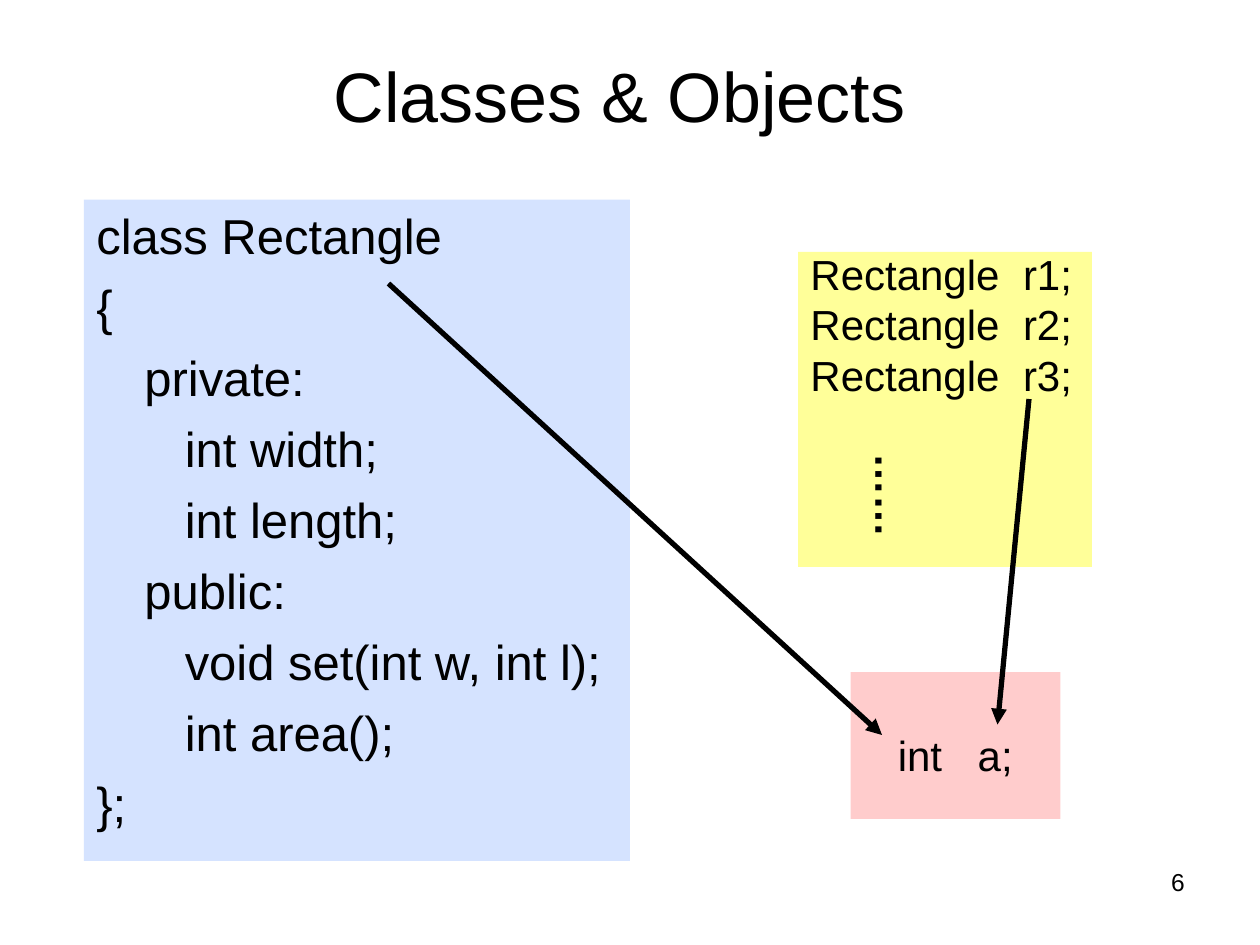
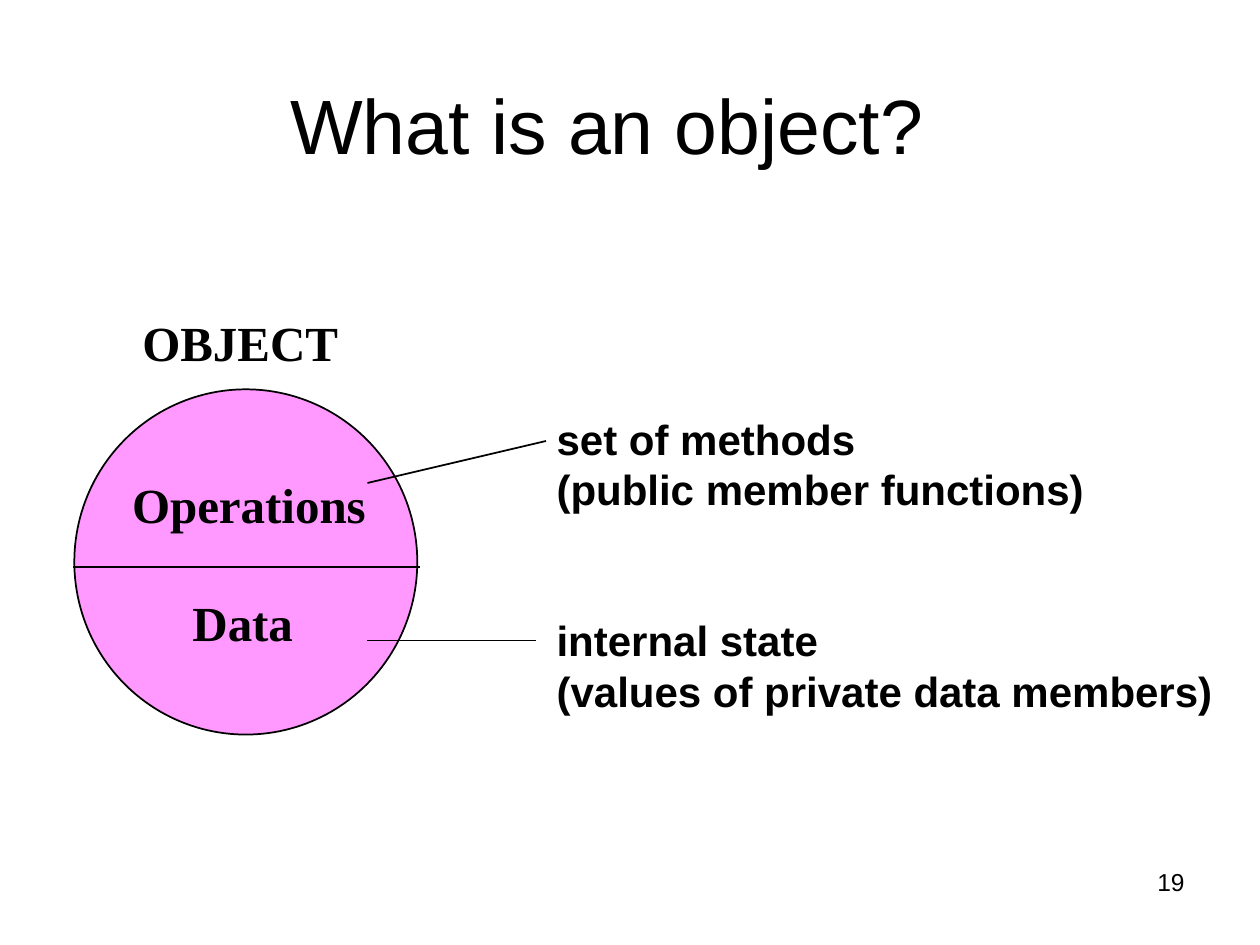
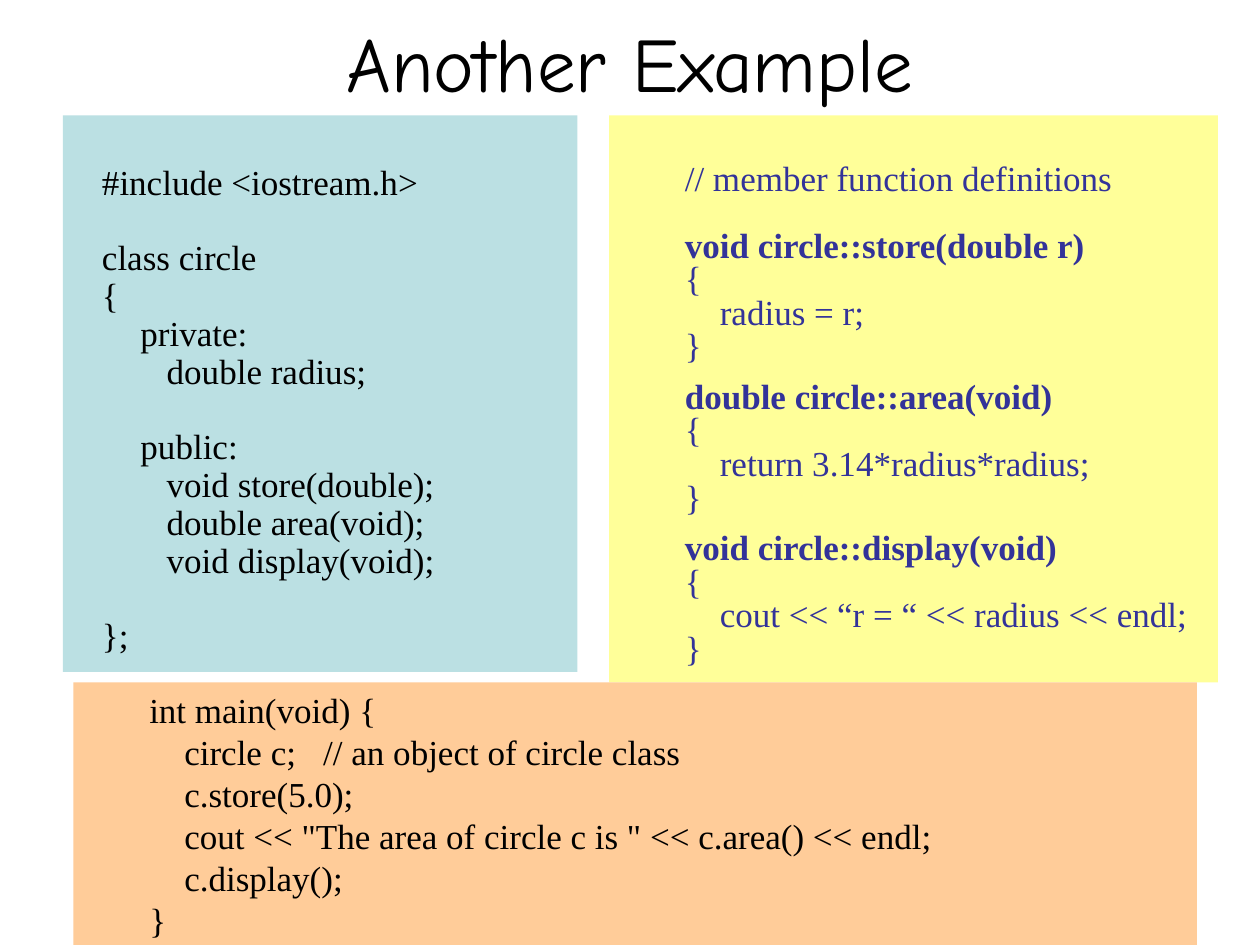
from lxml import etree
from pptx import Presentation
from pptx.dml.color import RGBColor
from pptx.enum.shapes import MSO_CONNECTOR as CONN, MSO_SHAPE as SHAPE
from pptx.enum.text import MSO_ANCHOR as ANCHOR, PP_ALIGN as ALIGN
from pptx.oxml.ns import qn
from pptx.util import Pt

BLACK = RGBColor(0x00, 0x00, 0x00)
NAVY = RGBColor(0x33, 0x33, 0x99)
BLUE = RGBColor(0xD5, 0xE3, 0xFF)
TEAL = RGBColor(0xBB, 0xE0, 0xE3)
YELLOW = RGBColor(0xFF, 0xFF, 0x99)
ROSE = RGBColor(0xFF, 0xCC, 0xCC)
PINK = RGBColor(0xFF, 0x99, 0xFF)
ORANGE = RGBColor(0xFF, 0xCC, 0x99)

SANS = "Arial"
SERIF = "Times New Roman"
COMIC = "Comic Neue"
LEADING = 1.2  # line height of single spacing, in font sizes


def set_tabs(p, stops):
    """Give the paragraph left tab stops, in points from the text edge."""
    tab_list = etree.SubElement(p._p.get_or_add_pPr(), qn("a:tabLst"))
    for stop in stops:
        etree.SubElement(tab_list, qn("a:tab"), pos=str(Pt(stop)), algn="l")


def write_line(p, text, size=24, font=SANS, color=BLACK, bold=False,
               align=ALIGN.LEFT, spacing=1, before=0, tabs=()):
    p.alignment = align
    p.line_spacing = Pt(round(size * LEADING * spacing, 2))
    p.space_before = Pt(before)
    if tabs:
        set_tabs(p, tabs)
    r = p.add_run()
    r.text = text
    r.font.size = Pt(size)
    r.font.name = font
    r.font.bold = bold
    r.font.color.rgb = color


def write(sp, lines, inset=(7.2, 3.6), anchor=ANCHOR.TOP, gap=0, **style):
    """Fill a shape with lines; a line is a text or (text, its own style)."""
    tf = sp.text_frame
    tf.word_wrap = True
    tf.vertical_anchor = anchor
    tf.margin_left, tf.margin_top = (Pt(v) for v in inset)
    tf.margin_right, tf.margin_bottom = Pt(7.2), Pt(3.6)
    for i, line in enumerate(lines):
        text, own = (line, {}) if isinstance(line, str) else line
        p = tf.add_paragraph() if i else tf.paragraphs[0]
        write_line(p, text, **{"before": gap if i else 0, **style, **own})


def add_text(s, box, lines, **style):
    sp = s.shapes.add_textbox(*map(Pt, box))
    write(sp, lines, **style)
    return sp


def add_figure(s, kind, box, fill, outline=None):
    sp = s.shapes.add_shape(kind, *map(Pt, box))
    sp.shadow.inherit = False
    sp.fill.solid()
    sp.fill.fore_color.rgb = fill
    if outline is None:
        sp.line.fill.background()
    else:
        sp.line.color.rgb = outline
        sp.line.width = Pt(1)
    return sp


def add_code(s, box, fill, lines, **style):
    write(add_figure(s, SHAPE.RECTANGLE, box, fill), lines, **style)


def add_line(s, start, end, width=1, arrow=False):
    line = s.shapes.add_connector(CONN.STRAIGHT, *map(Pt, start + end))
    line.line.color.rgb = BLACK
    line.line.width = Pt(width)
    if arrow:
        etree.SubElement(line.line._get_or_add_ln(), qn("a:tailEnd"), type="triangle")
    etree.SubElement(line._element.spPr, qn("a:effectLst"))


def add_title(s, text, box, size=44, font=SANS, anchor=ANCHOR.MIDDLE):
    add_text(s, box, [text], size=size, font=font, anchor=anchor, align=ALIGN.CENTER)


def add_page_number(s, number):
    add_text(s, (516, 492, 168, 37), [str(number)], size=14, align=ALIGN.RIGHT)


def build_classes_and_objects(s):
    add_page_number(s, 6)
    add_code(s, (48, 114, 312, 378), BLUE, [
        "class Rectangle",
        "{",
        "\tprivate:",
        "\t\tint width;",
        "\t\tint length;",
        "\tpublic:",
        "\t\tvoid set(int w, int l);",
        "\t\tint area();",
        "};",
    ], size=28, gap=7, tabs=(27.4, 50.5))
    add_title(s, "Classes & Objects", (30, 29, 648, 50.4), size=40)
    add_code(s, (456, 144, 168, 180), YELLOW,
             [f"Rectangle\tr{n};" for n in (1, 2, 3)],
             spacing=0.8, gap=6, tabs=(121.5,))
    dots = add_text(s, (484.6, 252, 43.2, 55.4), ["……"], inset=(3.6, 7.2), bold=True)
    dots.text_frame.word_wrap = False
    dots.text_frame._txBody.bodyPr.set("vert", "eaVert")
    add_code(s, (486, 384, 120, 84), ROSE, ["int\ta;"], inset=(27, 33), tabs=(45.7,))
    add_line(s, (222, 162), (504, 420), width=3, arrow=True)
    add_line(s, (588, 228), (570, 414), width=3, arrow=True)


def build_what_is_an_object(s):
    add_page_number(s, 19)
    add_title(s, "What is an object?", (0, 30, 694, 70.8), anchor=ANCHOR.BOTTOM)
    label = dict(size=28, font=SERIF, bold=True)
    add_text(s, (74.2, 175, 135, 41), ["OBJECT"], **label)
    add_figure(s, SHAPE.OVAL, (42.5, 222.5, 196, 197.3), PINK, outline=BLACK)
    add_text(s, (68.4, 267.8, 155, 108), [
        "Operations",
        ("\tData", dict(before=33.6, tabs=(34.5,))),
    ], **label)
    add_line(s, (210, 276), (312, 252))
    add_text(s, (311, 232.6, 402, 180), [
        "set of methods",
        "(public member functions)",
        ("internal state", dict(before=57.6)),
        "(values of private data members)",
    ], bold=True)
    add_line(s, (210, 366), (306, 366))
    add_line(s, (42, 324), (240, 324))


def build_another_example(s):
    add_title(s, "Another Example", (0, 8, 720, 54), font=COMIC)
    code = dict(size=20, font=SERIF)
    blank = dict(before=21.6)
    add_code(s, (36, 66, 294, 318), TEAL, [
        "#include <iostream.h>",
        ("class circle", blank),
        "{",
        "\tprivate:",
        "\t\tdouble radius;",
        ("\tpublic:", blank),
        "\t\tvoid store(double);",
        "\t\tdouble area(void);",
        "\t\tvoid display(void);",
        ("};", blank),
    ], inset=(22.3, 28), spacing=0.9, tabs=(22, 37), **code)

    functions = [
        ("void circle::store(double r)", "radius = r;", 19.2),
        ("double circle::area(void)", "return 3.14*radius*radius;", 9.6),
        ("void circle::display(void)", "cout << “r = “ << radius << endl;", 9.6),
    ]
    definitions = ["// member function definitions"]
    for head, body, before in functions:
        definitions += [(head, dict(bold=True, before=before)), "{", "\t" + body, "}"]
    add_code(s, (348, 66, 348, 324), YELLOW, definitions,
             inset=(43.3, 28), spacing=0.8, color=NAVY, tabs=(20,), **code)

    add_code(s, (42, 390, 642, 150), ORANGE, [
        "int main(void) {",
        "\tcircle c;\t// an object of circle class",
        "\tc.store(5.0);",
        "\tcout << \"The area of circle c is \" << c.area() << endl;",
        "\tc.display();",
        "}",
    ], inset=(43.3, 3.6), tabs=(20, 99.4), **code)


def main():
    prs = Presentation()
    prs.slide_width, prs.slide_height = Pt(720), Pt(540)
    blank_layout = prs.slide_layouts[6]
    for build in (build_classes_and_objects, build_what_is_an_object,
                  build_another_example):
        build(prs.slides.add_slide(blank_layout))
    prs.save("out.pptx")


if __name__ == "__main__":
    main()
